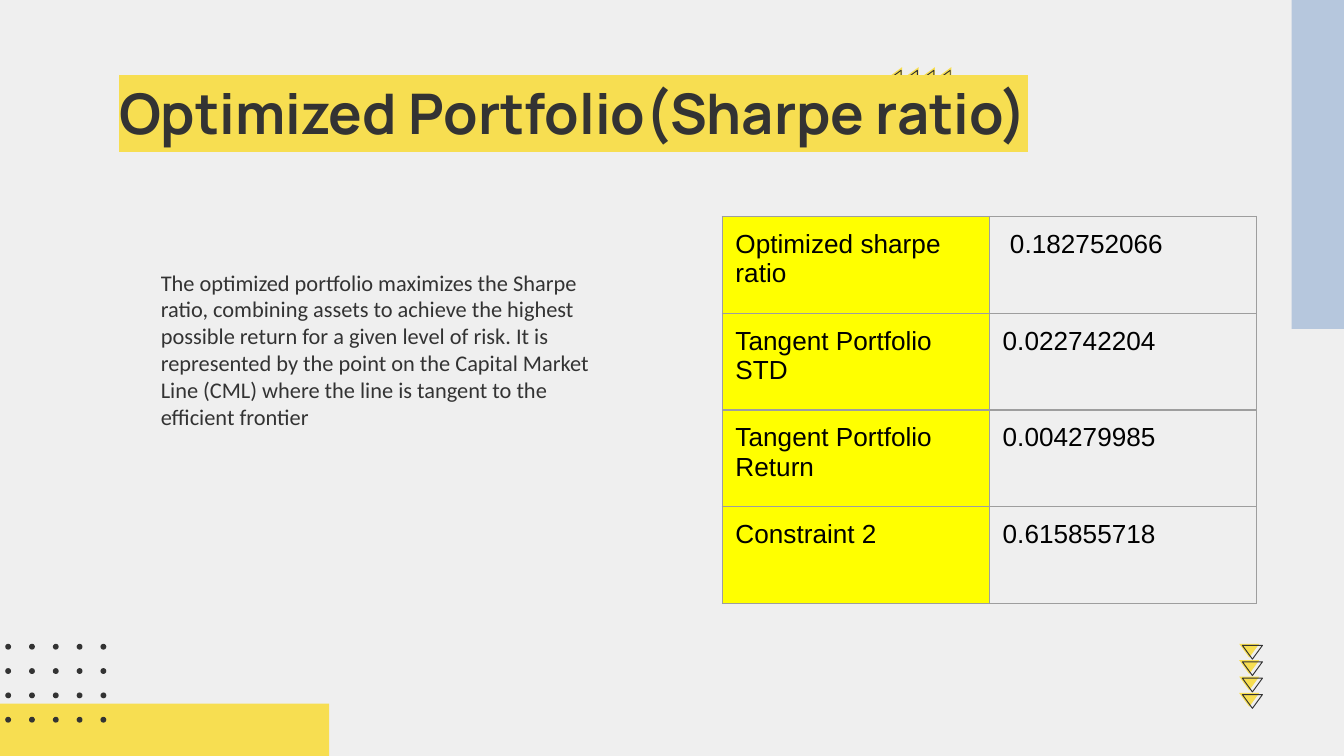
from lxml import etree
from pptx import Presentation
from pptx.dml.color import RGBColor
from pptx.enum.shapes import MSO_SHAPE as Shape
from pptx.enum.text import MSO_ANCHOR as Anchor
from pptx.oxml.ns import qn
from pptx.util import Cm, Pt

BACKDROP = RGBColor(0xEF, 0xEF, 0xEF)
BLUE = RGBColor(0xB6, 0xC7, 0xDD)
GOLD = RGBColor(0xF7, 0xDE, 0x51)
INK = RGBColor(0x33, 0x33, 0x33)
BLACK = RGBColor(0x00, 0x00, 0x00)
LABEL_YELLOW = RGBColor(0xFF, 0xFF, 0x00)
GRID_GREY = RGBColor(0x9E, 0x9E, 0x9E)


def add_color(parent, color):
    etree.SubElement(parent, qn("a:srgbClr")).set("val", str(color))


class SlideBuilder:
    """Holds the shared style and the slide being built."""

    inset = Cm(0.25)
    outline_width = Pt(0.5)
    border_width = Pt(0.75)

    def __init__(self, slide):
        self.slide = slide
        slide.background.fill.solid()
        slide.background.fill.fore_color.rgb = BACKDROP

    def paint(self, shape, color):
        shape.shadow.inherit = False
        shape.fill.solid()
        shape.fill.fore_color.rgb = color
        shape.line.fill.background()

    def block(self, kind, left, top, width, height, color):
        shape = self.slide.shapes.add_shape(
            kind, Cm(left), Cm(top), Cm(width), Cm(height))
        self.paint(shape, color)

    def triangle(self, corners, left, top, outlined):
        points = [(Cm(left + x), Cm(top + y)) for x, y in corners]
        builder = self.slide.shapes.build_freeform(*points[0])
        builder.add_line_segments(points[1:], close=True)
        shape = builder.convert_to_shape()
        self.paint(shape, GOLD)
        if outlined:
            shape.fill.background()
            shape.line.color.rgb = INK
            shape.line.width = self.outline_width

    def arrow_strip(self, corners, left, top, step_x, step_y, shift_x, shift_y):
        """Four gold triangles, then their outlines slightly shifted."""
        for outlined in (False, True):
            for i in range(4):
                self.triangle(corners,
                              left + i * step_x + outlined * shift_x,
                              top + i * step_y + outlined * shift_y, outlined)

    def pad(self, holder):
        holder.margin_left = holder.margin_right = self.inset
        holder.margin_top = holder.margin_bottom = self.inset

    def put_text(self, frame, text, font_name, size, color, bold=False):
        paragraph = frame.paragraphs[0]
        run = paragraph.add_run()
        run.text = text
        font = paragraph.font
        font.name, font.size, font.bold = font_name, Pt(size), bold
        font.color.rgb = color
        return run

    def text(self, left, top, width, height, *style, bold=False, highlight=None):
        frame = self.slide.shapes.add_textbox(
            Cm(left), Cm(top), Cm(width), Cm(height)).text_frame
        frame.word_wrap = True
        frame.vertical_anchor = Anchor.TOP
        self.pad(frame)
        run = self.put_text(frame, *style, bold=bold)
        if highlight is not None:
            run_style = run.font._element
            add_color(etree.SubElement(run_style, qn("a:highlight")), highlight)

    def border(self, cell):
        properties = cell._tc.get_or_add_tcPr()
        for position, side in enumerate(("a:lnL", "a:lnR", "a:lnT", "a:lnB")):
            line = etree.Element(qn(side), w=str(self.border_width))
            add_color(etree.SubElement(line, qn("a:solidFill")), GRID_GREY)
            properties.insert(position, line)

    def table(self, rows, left, top, column_width, row_height):
        columns = len(rows[0])
        table = self.slide.shapes.add_table(
            len(rows), columns, Cm(left), Cm(top),
            Cm(column_width * columns), Cm(row_height * len(rows))).table
        table.first_row = table.horz_banding = False
        for r, row in enumerate(rows):
            for c, value in enumerate(row):
                cell = table.cell(r, c)
                self.put_text(cell.text_frame, value, "Arial", 14, BLACK)
                self.pad(cell)
                if c == 0:
                    cell.fill.solid()
                    cell.fill.fore_color.rgb = LABEL_YELLOW
                else:
                    cell.fill.background()
                self.border(cell)


def main():
    deck = Presentation()
    deck.slide_width, deck.slide_height = Cm(25.4), Cm(14.29)
    page = SlideBuilder(deck.slides.add_slide(deck.slide_layouts[6]))

    # Corner bands
    page.block(Shape.RECTANGLE, 24.41, 0, 0.99, 6.22, BLUE)
    page.block(Shape.RECTANGLE, 0, 13.3, 6.22, 0.99, GOLD)

    # Dot grid
    for column in range(5):
        for row in range(4):
            page.block(Shape.OVAL, 0.1 + 0.45 * column, 12.17 + 0.46 * row,
                       0.11, 0.11, INK)

    # Arrow strips
    pointing_left = [(0.26, 0), (0, 0.19), (0.26, 0.38)]
    pointing_down = [(0, 0), (0.19, 0.26), (0.38, 0)]
    page.arrow_strip(pointing_left, 16.79, 1.27, 0.31, 0, -0.02, 0.06)
    page.arrow_strip(pointing_down, 23.42, 12.17, 0, 0.31, 0.06, 0.03)

    # Title and explanation
    page.text(2, 1.24, 21.41, 1.6, "Optimized Portfolio(Sharpe ratio)",
              "Manrope", 30, INK, bold=True, highlight=GOLD)
    page.text(2.79, 4.83, 9.2, 3.35,
              "The optimized portfolio maximizes the Sharpe ratio, combining "
              "assets to achieve the highest possible return for a given level "
              "of risk. It is represented by the point on the Capital Market "
              "Line (CML) where the line is tangent to the efficient frontier",
              "Calibri", 12, INK)

    # Portfolio figures
    figures = [
        ("Optimized sharpe ratio", " 0.182752066"),
        ("Tangent Portfolio STD", "0.022742204"),
        ("Tangent Portfolio Return", "0.004279985"),
        ("Constraint 2", "0.615855718"),
    ]
    page.table(figures, 13.65, 4.09, 5.05, 1.83)

    deck.save("out.pptx")


if __name__ == "__main__":
    main()
